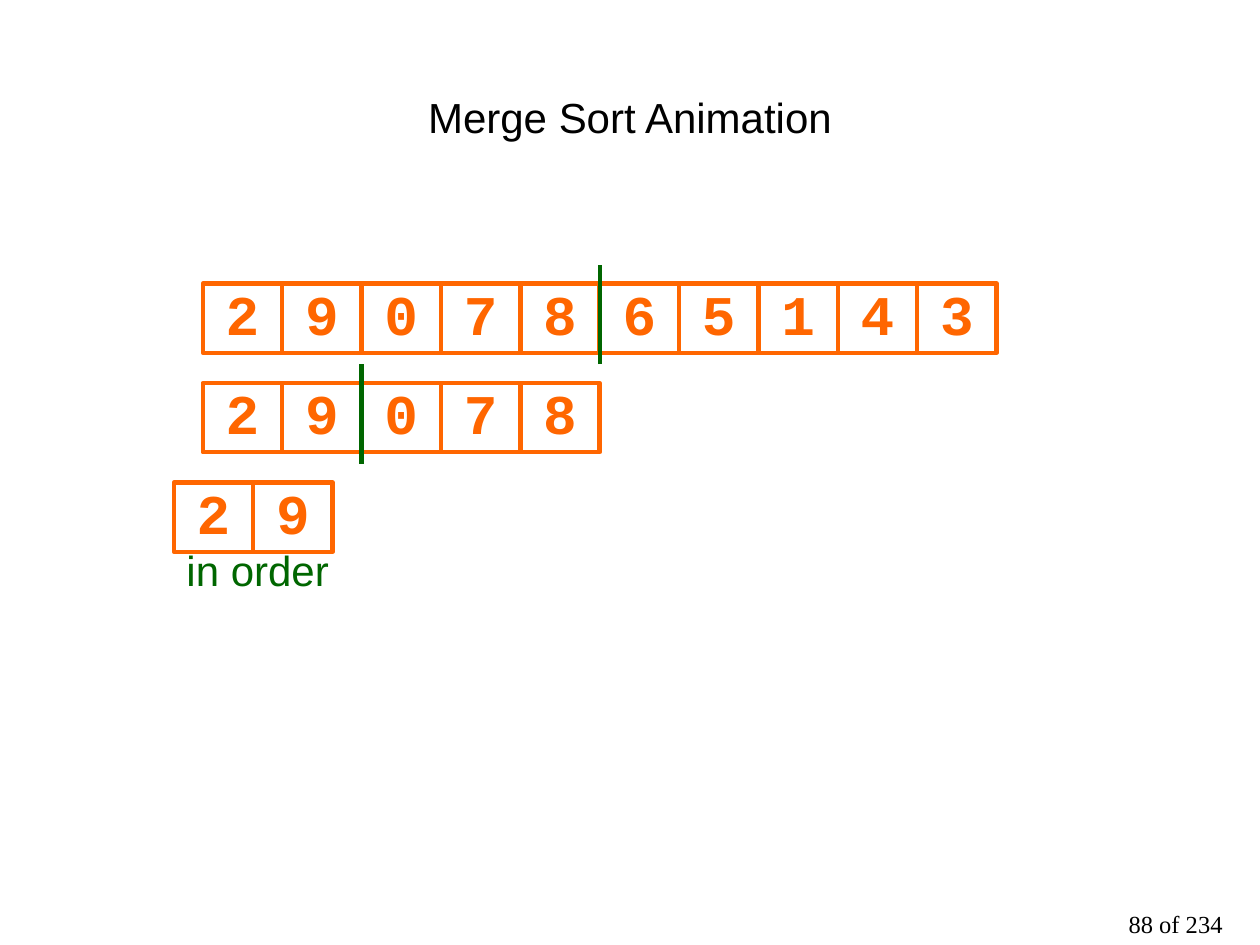
from typing import NamedTuple

from pptx import Presentation
from pptx.dml.color import RGBColor
from pptx.enum.shapes import MSO_CONNECTOR, MSO_SHAPE
from pptx.enum.text import MSO_ANCHOR, PP_ALIGN
from pptx.oxml.ns import qn
from pptx.util import Inches, Pt

RECT = MSO_SHAPE.RECTANGLE
STRAIGHT = MSO_CONNECTOR.STRAIGHT
TOP, MIDDLE = MSO_ANCHOR.TOP, MSO_ANCHOR.MIDDLE
CENTER = PP_ALIGN.CENTER

BLACK = RGBColor(0x00, 0x00, 0x00)
ORANGE = RGBColor(0xFF, 0x66, 0x00)
GREEN = RGBColor(0x00, 0x66, 0x00)

CELL_W, CELL_H = 0.63, 0.55
FIRST_Y, ROW_GAP = 2.25, 0.79
RISE = 0.15  # how far a split line starts above its row
STROKE = Pt(2.5)


class Row(NamedTuple):
    left: float
    digits: str
    split: int = 0  # cells left of the split line; 0 for no line


ROWS = [
    Row(1.61, "2907865143", 5),
    Row(1.61, "29078", 2),
    Row(1.38, "29"),
]


def write(shape, text: str, *, size: float, font: str, color: RGBColor,
          bold: bool = False, anchor=TOP, spacing: float = 1.0,
          inset: tuple[float, float] = (0, 0)) -> None:
    frame = shape.text_frame
    frame.word_wrap = True
    frame.vertical_anchor = anchor
    frame.margin_left = frame.margin_right = Inches(inset[0])
    frame.margin_top = frame.margin_bottom = Inches(inset[1])
    para = frame.paragraphs[0]
    para.alignment = CENTER
    para.line_spacing = spacing
    run = para.add_run()
    run.text = text
    run.font.size = Pt(size)
    run.font.name = font
    run.font.bold = bold
    run.font.color.rgb = color


def add_label(slide, text: str, left: float, top: float, width: float,
              height: float, **style) -> None:
    box = slide.shapes.add_textbox(
        Inches(left), Inches(top), Inches(width), Inches(height))
    write(box, text, **style)


def add_cells(slide, row: Row, top: float) -> None:
    for col, digit in enumerate(row.digits):
        cell = slide.shapes.add_shape(
            RECT, Inches(row.left + col * CELL_W), Inches(top),
            Inches(CELL_W), Inches(CELL_H))
        cell.shadow.inherit = False
        cell.fill.background()
        cell.line.color.rgb = ORANGE
        cell.line.width = STROKE
        write(cell, digit, size=32, font="Courier New", color=ORANGE,
              bold=True, anchor=MIDDLE, spacing=0.85)


def add_split(slide, row: Row, top: float) -> None:
    """Draw the line that marks where the row is halved."""
    x = Inches(row.left + row.split * CELL_W)
    start = top - RISE
    line = slide.shapes.add_connector(
        STRAIGHT, x, Inches(start + ROW_GAP), x, Inches(start))
    line.line.color.rgb = GREEN
    line.line.width = STROKE
    props = line.element.spPr
    props.append(props.makeelement(qn("a:effectLst"), {}))


def main() -> None:
    deck = Presentation()
    deck.slide_width, deck.slide_height = Inches(10), Inches(7.5)
    slide = deck.slides.add_slide(deck.slide_layouts[5])

    title = slide.shapes.title
    title.left, title.top = Inches(0.5), Inches(0.3)
    title.width, title.height = Inches(9), Inches(1.25)
    write(title, "Merge Sort Animation", size=24, font="Arial",
          color=BLACK, anchor=MIDDLE)
    add_label(slide, "88 of 234", 8.64, 7.22, 1.38, 0.28, size=14,
              font="Times New Roman", color=BLACK, spacing=0.75,
              inset=(0.1, 0.05))

    tops = [FIRST_Y + i * ROW_GAP for i in range(len(ROWS))]
    for row, top in zip(ROWS, tops):
        add_cells(slide, row, top)
    for row, top in zip(ROWS, tops):
        if row.split:
            add_split(slide, row, top)
    add_label(slide, "in order", 1.14, tops[-1] + CELL_H, 1.81, 0.34,
              size=24, font="Arial", color=GREEN, spacing=0.85)

    deck.save("out.pptx")


if __name__ == "__main__":
    main()
